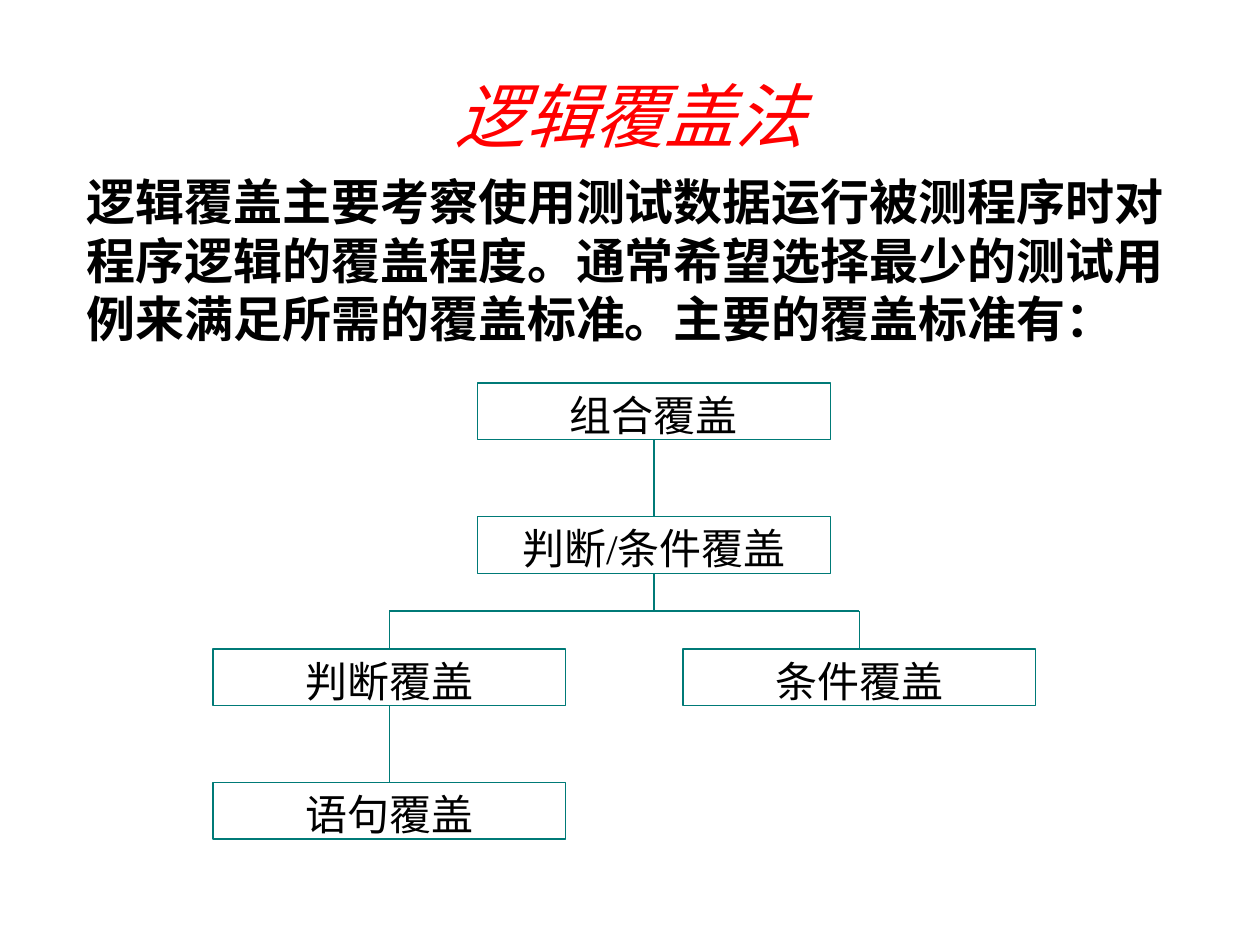
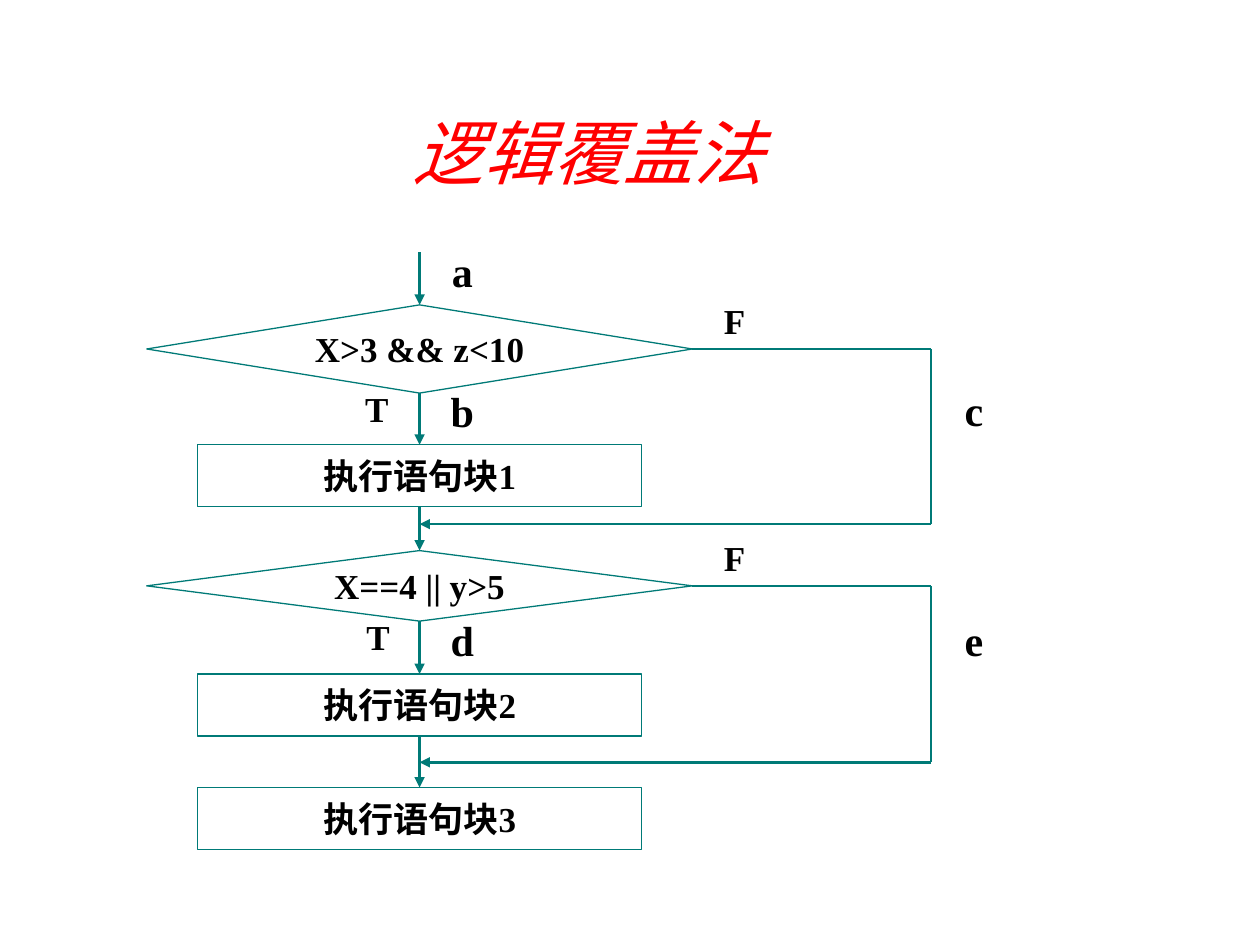
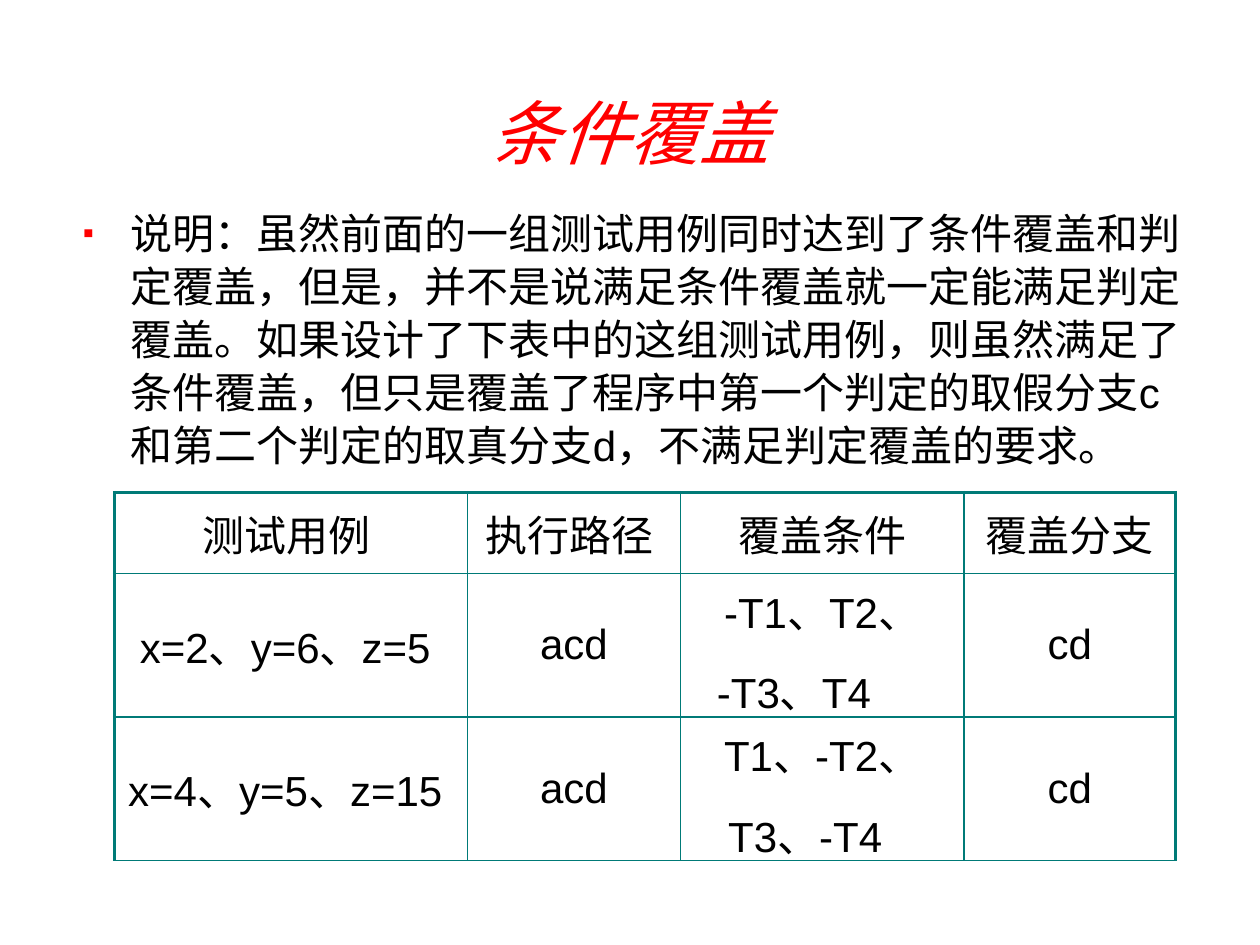
from pptx import Presentation
from pptx.dml.color import RGBColor as Rgb
from pptx.enum.shapes import MSO_CONNECTOR as Link, MSO_SHAPE as Kind
from pptx.enum.text import MSO_ANCHOR as Anchor, PP_ALIGN as Align
from pptx.oxml import parse_xml
from pptx.oxml.ns import nsdecls, qn
from pptx.util import Inches, Pt
from lxml.etree import SubElement

HUES = {"ink": "000000", "teal": "007A77", "red": "FF0000"}
SERIF, SANS = "Times New Roman", "Arial"
BOX_W, BOX_H = 2.8, 0.45
MID, SIDE = 3.33, 7.39
TAG_W = 1.22


def hue(name):
    return Rgb.from_string(HUES[name])


def style(para, size, face=SERIF, bold=False, color="ink", slant=False):
    for run in para.runs:
        font = run.font
        font.size, font.name = Pt(size), face
        font.bold, font.italic = bold, slant
        font.color.rgb = hue(color)


def add_page(deck, text, left, top, width, height):
    page = deck.slides.add_slide(deck.slide_layouts[5])
    title = page.shapes.title
    title.left, title.top = Inches(left), Inches(top)
    title.width, title.height = Inches(width), Inches(height)
    frame = title.text_frame
    frame.text = text
    frame.vertical_anchor = Anchor.MIDDLE
    frame.paragraphs[0].alignment = Align.CENTER
    style(frame.paragraphs[0], 40, SANS, color="red", slant=True)
    return page


def add_box(page, kind, text, left, top, width, height, size,
            bold=False, anchor=Anchor.MIDDLE, wrap=False):
    box = page.shapes.add_shape(kind, Inches(left), Inches(top),
                                Inches(width), Inches(height))
    box.shadow.inherit = False
    box.fill.background()
    box.line.color.rgb = hue("teal")
    box.line.width = Pt(0.75)
    frame = box.text_frame
    frame.text = text
    frame.word_wrap = wrap
    frame.vertical_anchor = anchor
    frame.paragraphs[0].alignment = Align.CENTER
    style(frame.paragraphs[0], size, bold=bold)


def add_line(page, x1, y1, x2, y2, width=0.75, arrow=False):
    link = page.shapes.add_connector(Link.STRAIGHT, Inches(x1), Inches(y1),
                                     Inches(x2), Inches(y2))
    link.line.color.rgb = hue("teal")
    link.line.width = Pt(width)
    props = link.element.spPr
    if arrow:
        SubElement(props.find(qn("a:ln")), qn("a:tailEnd"), type="triangle")
    SubElement(props, qn("a:effectLst"))


def add_text(page, text, left, top, width, height, size, face=SERIF,
             bold=False):
    frame = page.shapes.add_textbox(Inches(left), Inches(top), Inches(width),
                                    Inches(height)).text_frame
    frame.word_wrap = True
    frame.text = text
    style(frame.paragraphs[0], size, face, bold)
    return frame


def add_tag(page, text, left, top, height, size):
    frame = add_text(page, text, left, top, TAG_W, height, size, bold=True)
    frame.margin_left = frame.margin_right = 0
    frame.margin_top = frame.margin_bottom = 0
    frame.vertical_anchor = Anchor.BOTTOM
    frame.paragraphs[0].alignment = Align.CENTER


def add_bullet(para, indent):
    props = para._p.get_or_add_pPr()
    props.set("marL", str(Inches(indent)))
    props.set("indent", str(-Inches(indent)))
    tint = SubElement(props, qn("a:buClr"))
    SubElement(tint, qn("a:srgbClr"), val=HUES["red"])
    SubElement(props, qn("a:buSzPct"), val="75000")
    SubElement(props, qn("a:buFont"), typeface=SANS)
    SubElement(props, qn("a:buChar"), char="▪")


def add_edges(cell, widths):
    props = cell._tc.get_or_add_tcPr()
    for pos, (side, width) in enumerate(zip("LRTB", widths)):
        props.insert(pos, parse_xml(
            f'<a:ln{side} {nsdecls("a")} w="{Pt(width)}"><a:solidFill>'
            f'<a:srgbClr val="{HUES["teal"]}"/></a:solidFill></a:ln{side}>'))


def fill_cell(cell, text, indent):
    cell.fill.background()
    cell.vertical_anchor = Anchor.MIDDLE
    frame = cell.text_frame
    frame.text = text
    for pos, para in enumerate(frame.paragraphs):
        style(para, 24, SANS)
        if pos == 0:
            para.alignment = Align.CENTER
        else:
            para.space_before = Pt(11)
            para._p.get_or_add_pPr().set("marL", str(Inches(indent)))


def add_grid(page, rows, left, top, widths, heights, indents):
    grid = page.shapes.add_table(len(rows), len(widths), Inches(left),
                                 Inches(top), Inches(sum(widths)),
                                 Inches(sum(heights))).table
    grid.first_row = grid.horz_banding = False
    for col, width in zip(grid.columns, widths):
        col.width = Inches(width)
    for row, height in zip(grid.rows, heights):
        row.height = Inches(height)
    last = len(widths) - 1
    for r, row in enumerate(rows):
        for c, text in enumerate(row):
            cell = grid.cell(r, c)
            fill_cell(cell, text, indents[r])
            add_edges(cell, (2.25 if c == 0 else 1, 2.25 if c == last else 1,
                             2.25 if r == 0 else 1, 1))


def tree_page(deck):
    page = add_page(deck, "逻辑覆盖法", 0.33, 0.67, 9.34, 0.48)
    tops = [3.04, 4.1, 5.15, 6.21]
    mid, west, east = 5.19, 3.09, 6.82
    nodes = [("组合覆盖", mid, 0), ("判断/条件覆盖", mid, 1),
             ("判断覆盖", west, 2), ("条件覆盖", east, 2),
             ("语句覆盖", west, 3)]
    for text, x, row in nodes:
        add_box(page, Kind.RECTANGLE, text, x - BOX_W / 2, tops[row],
                BOX_W, BOX_H, 24, anchor=Anchor.TOP, wrap=True)
    fork = 4.85
    add_line(page, mid, tops[0] + BOX_H, mid, tops[1])
    add_line(page, mid, tops[1] + BOX_H, mid, fork)
    add_line(page, west, fork, east, fork)
    for x in (west, east):
        add_line(page, x, fork, x, tops[2])
    add_line(page, west, tops[2] + BOX_H, west, tops[3])
    add_text(page, "逻辑覆盖主要考察使用测试数据运行被测程序时对程序逻辑的覆盖程度。"
             "通常希望选择最少的测试用例来满足所需的覆盖标准。主要的覆盖标准有：",
             0.59, 1.31, 8.92, 1.5, 28, bold=True)


def flow_page(deck):
    page = add_page(deck, "逻辑覆盖法", 0, 0.83, 9.34, 0.75)
    test, step = (Kind.FLOWCHART_DECISION, 4.33), (Kind.FLOWCHART_PROCESS, 3.52)
    nodes = [(test, "X>3 && z<10", 2.42, 0.7), (step, "执行语句块1", 3.53, 0.49),
             (test, "X==4 || y>5", 4.37, 0.56), (step, "执行语句块2", 5.35, 0.49),
             (step, "执行语句块3", 6.25, 0.49)]
    start = 2
    for (kind, width), text, top, height in nodes:
        add_box(page, kind, text, MID - width / 2, top, width, height, 20, True)
        add_line(page, MID, start, MID, top, 1.5, True)
        start = top + height
    for top, base in ((2.77, 4.16), (4.65, 6.05)):
        add_line(page, MID + test[1] / 2, top, SIDE, top, 1.5)
        add_line(page, SIDE, top, SIDE, base, 1.5)
        add_line(page, SIDE, base, MID, base, 1.5, True)
    for text, x, y in (("F", 5.22, 2.38), ("F", 5.22, 4.26),
                       ("T", 2.38, 3.08), ("T", 2.39, 4.89)):
        add_tag(page, text, x, y, 0.33, 20)
    for text, x, y in (("a", 3.06, 1.95), ("b", 3.06, 3.06), ("d", 3.06, 4.88),
                       ("c", 7.12, 3.05), ("e", 7.12, 4.88)):
        add_tag(page, text, x, y, 0.4, 24)


def case_page(deck):
    page = add_page(deck, "条件覆盖", 0.33, 0.67, 9.34, 0.75)
    frame = add_text(
        page, "说明：虽然前面的一组测试用例同时达到了条件覆盖和判定覆盖，但是，"
        "并不是说满足条件覆盖就一定能满足判定覆盖。如果设计了下表中的这组测试用例，"
        "则虽然满足了条件覆盖，但只是覆盖了程序中第一个判定的取假分支c "
        "和第二个判定的取真分支d，不满足判定覆盖的要求。",
        0.56, 1.58, 9.08, 2.32, 24, SANS)
    para = frame.paragraphs[0]
    para.line_spacing = 1.05
    add_bullet(para, 0.38)
    rows = [("测试用例 ", "执行路径 ", "覆盖条件", "覆盖分支"),
            ("x=2、y=6、z=5 ", "acd", "-T1、T2、\n-T3、T4", "cd"),
            ("x=4、y=5、z=15 ", "acd", "T1、-T2、\nT3、-T4", "cd")]
    add_grid(page, rows, 0.91, 3.91, [2.8, 1.69, 2.25, 1.68],
             [0.64, 1.14, 1.14], [0, 0.19, 0.28])


def main():
    deck = Presentation()
    deck.slide_width, deck.slide_height = Inches(10), Inches(7.5)
    tree_page(deck)
    flow_page(deck)
    case_page(deck)
    deck.save("out.pptx")


main()
